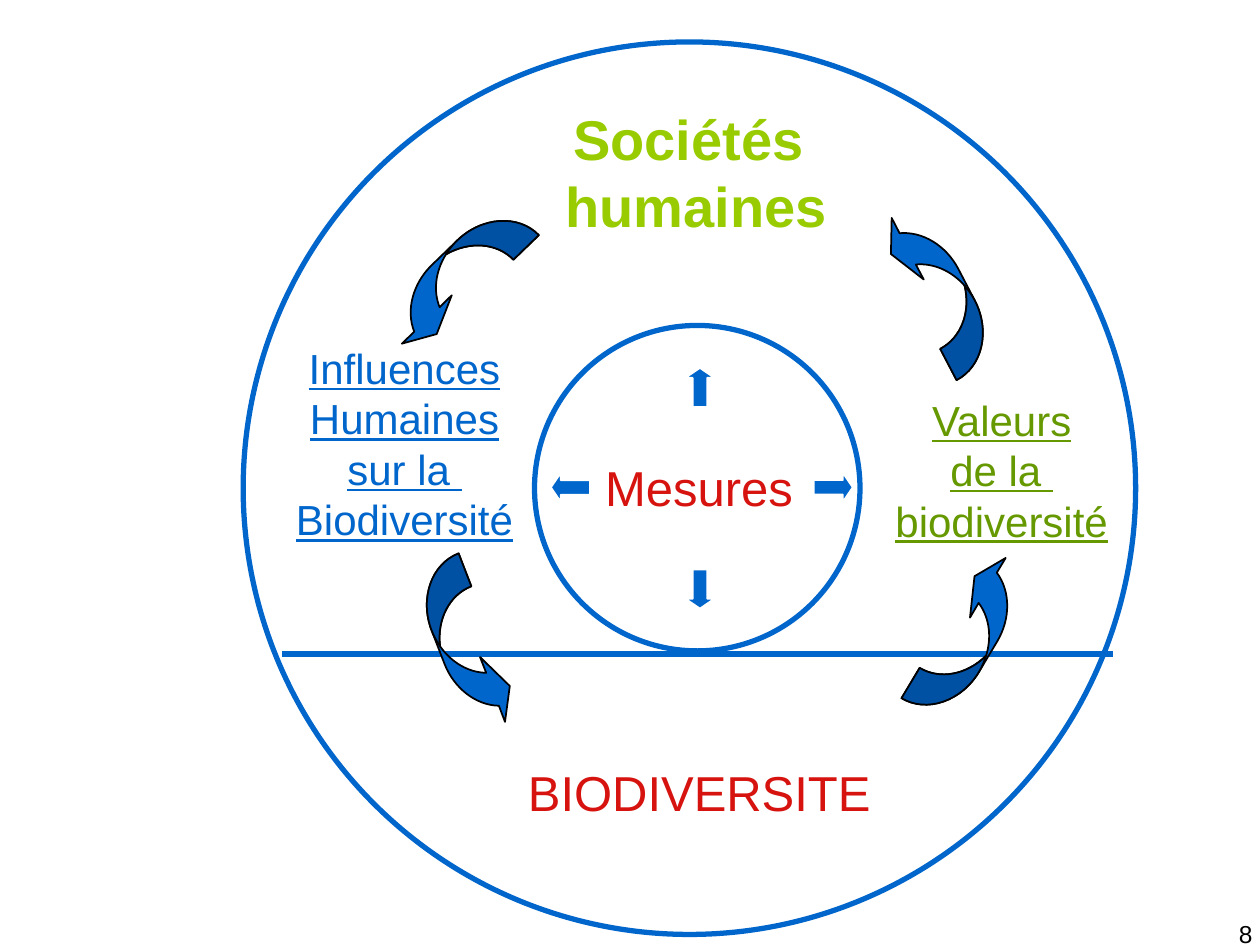
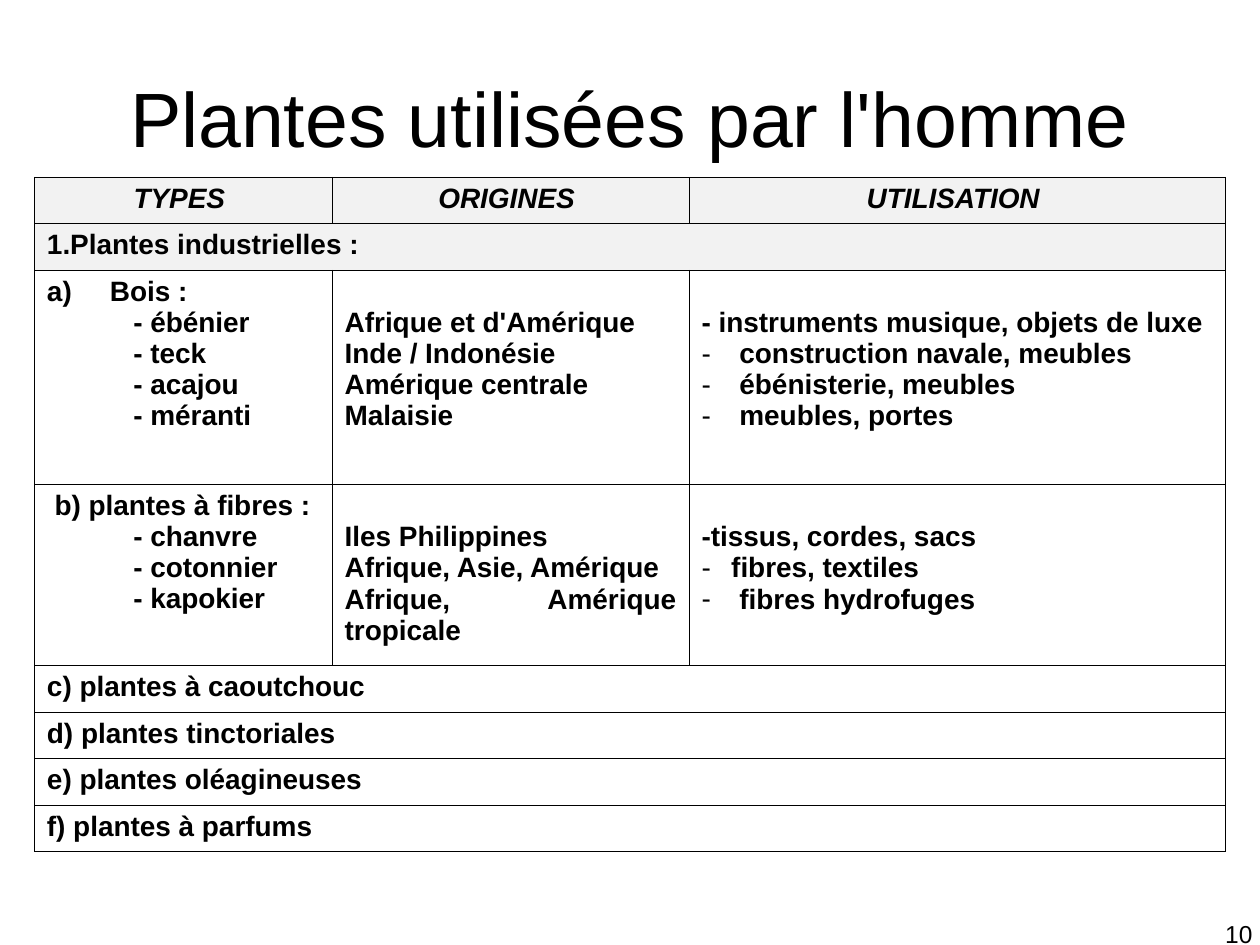
from collections import namedtuple
from math import cos, radians, sin, tan

from pptx import Presentation
from pptx.dml.color import RGBColor
from pptx.enum.shapes import MSO_CONNECTOR, MSO_SHAPE
from pptx.enum.text import MSO_ANCHOR, MSO_AUTO_SIZE, PP_ALIGN
from pptx.oxml import parse_xml
from pptx.oxml.ns import nsdecls, qn
from pptx.util import Inches, Pt

ELLIPSE, RIGHT_ARROW = MSO_SHAPE.OVAL, MSO_SHAPE.RIGHT_ARROW
STRAIGHT = MSO_CONNECTOR.STRAIGHT
CENTER, RIGHT, JUSTIFY = PP_ALIGN.CENTER, PP_ALIGN.RIGHT, PP_ALIGN.JUSTIFY
MIDDLE = MSO_ANCHOR.MIDDLE
FIT_SHAPE, NO_FIT = MSO_AUTO_SIZE.SHAPE_TO_FIT_TEXT, MSO_AUTO_SIZE.NONE

BLUE = RGBColor(0x00, 0x66, 0xCC)
LIME = RGBColor(0x99, 0xCC, 0x00)
GREEN = RGBColor(0x66, 0x99, 0x00)
RED = RGBColor(0xD6, 0x13, 0x0E)
BLACK = RGBColor(0x00, 0x00, 0x00)
WHITE = RGBColor(0xFF, 0xFF, 0xFF)
GREY = RGBColor(0xF2, 0xF2, 0xF2)

FONT = "Arial"
COLUMNS = 100  # square grid of 100 columns by 75 rows

TITLE_ONLY, BLANK = 5, 6  # layouts of the default template

# A table line: text, left indent and hanging part in cells, bullet element
Line = namedtuple("Line", "text left hanging bullet", defaults=(0, 0, None))
LETTER = '<a:buAutoNum {} type="alphaLcParenR"/>'
DASH = '<a:buChar {} char="-"/>'


def sub_item(text):
    return Line(text, 6.85)


def dash_item(text, hanging=3):
    return Line(text, hanging, hanging, DASH)


# Curved ribbon arrow in grid cells: two equal ellipses, one shifted sideways
RIBBON_WIDTH, RIBBON_HEIGHT = 14.2, 4.2
RADIUS_X, RADIUS_Y = 4.95, 4.2
FIRST, SECOND = 4.95, 7.75  # centres of the ellipses on the top edge
HEAD_ANGLE, CROSSING = 19, 73.6


def arc(center, start, end):
    """Bezier curve for a part of an ellipse, as three points."""
    start, end = radians(start), radians(end)
    reach = 4 / 3 * tan((end - start) / 4)

    def point(angle, pull):
        return (center + RADIUS_X * (cos(angle) - pull * sin(angle)),
                RADIUS_Y * (sin(angle) + pull * cos(angle)))

    return [point(start, reach), point(end, -reach), point(end, 0)]


TAIL = [[(0, 0)], arc(FIRST, 180, 90)]
INNER_EDGE = [arc(SECOND, 180 - CROSSING, 180)]
HEAD = [[(SECOND, RADIUS_Y)], arc(SECOND, 90, HEAD_ANGLE), [(13.8, 1.38)],
        [(11.28, 0)], [(8.28, 1.38)], [(9.63, 1.37)]]
RIBBON = TAIL + HEAD + [arc(FIRST, HEAD_ANGLE, CROSSING)] + INNER_EDGE
FOLD = TAIL + [arc(FIRST, 90, CROSSING)] + INNER_EDGE


def path_xml(segments, fill):
    """Drawing path in hundredths of a cell."""
    steps = []
    for index, points in enumerate(segments):
        tag = "cubicBezTo" if len(points) == 3 else "lnTo"
        tag = tag if index else "moveTo"
        marks = "".join(f'<a:pt x="{round(x * 100)}" y="{round(y * 100)}"/>'
                        for x, y in points)
        steps.append(f"<a:{tag}>{marks}</a:{tag}>")
    return parse_xml(
        f'<a:path {nsdecls("a")} w="{round(RIBBON_WIDTH * 100)}" '
        f'h="{round(RIBBON_HEIGHT * 100)}" fill="{fill}">'
        f'{"".join(steps)}<a:close/></a:path>')


class Deck:
    """Holds the style, the grid and the current slide."""

    def __init__(self):
        self.presentation = Presentation()
        self.presentation.slide_width = Inches(10)
        self.presentation.slide_height = Inches(7.5)
        self.slide = None

    def cells(self, *counts):
        unit = self.presentation.slide_width / COLUMNS
        return [round(count * unit) for count in counts]

    def new_slide(self, layout, number):
        layouts = self.presentation.slide_layouts
        self.slide = self.presentation.slides.add_slide(layouts[layout])
        self.text((77.1, 72.45, 23.3, 5.2), [number], 14, BLACK,
                  alignment=RIGHT, wrap=True)

    def format_paragraph(self, paragraph, size, color, alignment=CENTER,
                         bold=False, italic=False, underline=False):
        paragraph.alignment = alignment
        for run in paragraph.runs:
            font = run.font
            font.name, font.size, font.color.rgb = FONT, Pt(size), color
            font.bold, font.italic, font.underline = bold, italic, underline

    def title(self, box, text):
        shape = self.slide.shapes.title
        shape.left, shape.top, shape.width, shape.height = self.cells(*box)
        frame = shape.text_frame
        frame.text = text
        frame.auto_size, frame.vertical_anchor = NO_FIT, MIDDLE
        self.format_paragraph(frame.paragraphs[0], 44, BLACK)

    def text(self, box, lines, size, color, wrap=False, **style):
        frame = self.slide.shapes.add_textbox(*self.cells(*box)).text_frame
        frame.word_wrap = wrap
        frame.auto_size = NO_FIT if wrap else FIT_SHAPE
        frame.text = "\n".join(lines)
        for paragraph in frame.paragraphs:
            self.format_paragraph(paragraph, size, color, **style)

    def paint(self, shape, fill, line, width):
        shape.shadow.inherit = False
        if fill is None:
            shape.fill.background()
        else:
            shape.fill.solid()
            shape.fill.fore_color.rgb = fill
        shape.line.color.rgb, shape.line.width = line, Pt(width)

    def circle(self, left, top, diameter):
        shape = self.slide.shapes.add_shape(
            ELLIPSE, *self.cells(left, top, diameter, diameter))
        self.paint(shape, None, BLUE, 3)

    def block_arrow(self, center_x, center_y, angle, width=3.1, height=2.3):
        shape = self.slide.shapes.add_shape(RIGHT_ARROW, *self.cells(
            center_x - width / 2, center_y - height / 2, width, height))
        shape.adjustments[1] = 0.34
        shape.rotation = angle
        self.paint(shape, BLUE, WHITE, 1)

    def ribbon_arrow(self, center_x, center_y, angle):
        left, top, right, bottom = self.cells(
            center_x - RIBBON_WIDTH / 2, center_y - RIBBON_HEIGHT / 2,
            center_x + RIBBON_WIDTH / 2, center_y + RIBBON_HEIGHT / 2)
        builder = self.slide.shapes.build_freeform(left, top)
        builder.add_line_segments(
            [(right, top), (right, bottom), (left, bottom)], close=True)
        shape = builder.convert_to_shape()
        # Curved outline, with a darker fold on top
        paths = shape._element.spPr.find(".//" + qn("a:pathLst"))
        paths[:] = [path_xml(RIBBON, "norm"), path_xml(FOLD, "darkenLess")]
        shape.rotation = angle
        self.paint(shape, BLUE, BLACK, 1)

    def rule(self, left, right, top):
        connector = self.slide.shapes.add_connector(
            STRAIGHT, *self.cells(left, top, right, top))
        connector.line.color.rgb, connector.line.width = BLUE, Pt(3)
        connector._element.spPr.append(
            parse_xml(f"<a:effectLst {nsdecls('a')}/>"))

    def table(self, left, top, widths, rows):
        """Each row is (height, cells); a single cell spans the row."""
        table = self.slide.shapes.add_table(
            len(rows), len(widths), *self.cells(
                left, top, sum(widths), sum(row[0] for row in rows))).table
        table.first_row = table.horz_banding = False
        for column, width in zip(table.columns, self.cells(*widths)):
            column.width = width
        for index, (height, contents) in enumerate(rows):
            table.rows[index].height, = self.cells(height)
            if len(contents) == 1:
                table.cell(index, 0).merge(table.cell(index, len(widths) - 1))
            for cell in table.rows[index].cells:
                self.style_cell(cell, GREY if index < 2 else None)
            for column, lines in enumerate(contents):
                # Origins and uses start level with the first sub-item
                lowered = len(lines) > 1 and column > 0
                self.fill_cell(table.cell(index, column), lines,
                               header=index == 0, lowered=lowered)

    def style_cell(self, cell, fill):
        properties = cell._tc.get_or_add_tcPr()
        for side in "LRTB":
            properties.append(parse_xml(
                f'<a:ln{side} {nsdecls("a")} w="{Pt(0.45)}"><a:solidFill>'
                f'<a:srgbClr val="{BLACK}"/></a:solidFill></a:ln{side}>'))
        if fill is None:
            cell.fill.background()
        else:
            cell.fill.solid()
            cell.fill.fore_color.rgb = fill

    def fill_cell(self, cell, lines, header, lowered):
        cell.margin_left, cell.margin_top, cell.margin_bottom = self.cells(
            1, 2.95 if lowered else 0.48, 0.48)
        cell.text_frame.text = "\n".join(line.text for line in lines)
        for paragraph, line in zip(cell.text_frame.paragraphs, lines):
            properties = paragraph._p.get_or_add_pPr()
            margin, indent = self.cells(line.left, -line.hanging)
            properties.set("marL", str(margin))
            properties.set("indent", str(indent))
            if line.bullet:
                properties.append(parse_xml(
                    f'<a:buFont {nsdecls("a")} typeface="{FONT}"/>'))
                properties.append(parse_xml(line.bullet.format(nsdecls("a"))))
            self.format_paragraph(paragraph, 16, BLACK, bold=True,
                                  alignment=CENTER if header else JUSTIFY,
                                  italic=header)


def build_cycle(deck):
    deck.new_slide(BLANK, "8")

    # Circles and ground line
    deck.circle(42.42, 25.83, 25.83)
    deck.circle(19.3, 3.33, 70.83)
    deck.rule(22.4, 88.3, 51.9)

    # Societies and biodiversity
    deck.text((42.9, 7.8, 24.7, 11.7), ["Sociétés ", "humaines"], 32, LIME,
              bold=True)
    deck.text((40, 60, 31, 5.7), ["BIODIVERSITE"], 28, RED)

    # Measures, pointing in four directions
    deck.text((46.5, 35.8, 17.95, 5.7), ["Mesures"], 28, RED)
    for center_x, center_y, angle in ((66.13, 38.68, 0), (45.27, 38.68, 180),
                                      (55.55, 30.75, 270), (55.55, 46.75, 90)):
        deck.block_arrow(center_x, center_y, angle)

    # Influences and values
    deck.text((21.5, 26.7, 21.2, 17),
              ["Influences", "Humaines", "sur la ", "Biodiversité"],
              24, BLUE, underline=True)
    deck.text((69.1, 30.8, 20.8, 13), ["Valeurs", "de la ", "biodiversité"],
              24, GREEN, underline=True)
    for center_x, center_y, angle in ((37, 51.3, 68.9), (36.2, 22.1, 135.9),
                                      (77, 50.4, 300.9), (74.5, 22.9, 242.5)):
        deck.ribbon_arrow(center_x, center_y, angle)


def build_plants(deck):
    deck.new_slide(TITLE_ONLY, "10")
    deck.title((5, 3, 90, 12.5), "Plantes utilisées par l'homme")

    woods = [
        [Line("Bois :", 5, 5, LETTER), sub_item("- ébénier"),
         sub_item("- teck"), sub_item("- acajou"), sub_item("- méranti")],
        [Line("Afrique et d'Amérique"), Line("Inde / Indonésie"),
         Line("Amérique centrale"), Line("Malaisie")],
        [Line("- instruments musique, objets de luxe"),
         dash_item("construction navale, meubles"),
         dash_item("ébénisterie, meubles"), dash_item("meubles, portes")],
    ]
    fibres = [
        [Line("b) plantes à fibres :", 0.6), sub_item("- chanvre"),
         sub_item("- cotonnier"), sub_item("- kapokier")],
        [Line("Iles Philippines"), Line("Afrique, Asie, Amérique"),
         Line("Afrique, Amérique tropicale")],
        [Line("-tissus, cordes, sacs"), dash_item("fibres, textiles", 2.35),
         dash_item("fibres hydrofuges")],
    ]
    headings = ("TYPES ", "ORIGINES ", "UTILISATION ")
    other_plants = ("c) plantes à caoutchouc", "d) plantes tinctoriales",
                    "e) plantes oléagineuses", "f) plantes à parfums")
    short = 3.69
    rows = [(short, [[Line(heading)] for heading in headings]),
            (short, [[Line("1.Plantes industrielles :")]]),
            (17, woods), (14.37, fibres)]
    rows += [(short, [[Line(plant)]]) for plant in other_plants]
    deck.table(2.73, 14.07, (23.63, 28.33, 42.56), rows)


def main():
    deck = Deck()
    build_cycle(deck)
    build_plants(deck)
    deck.presentation.save("out.pptx")


if __name__ == "__main__":
    main()
